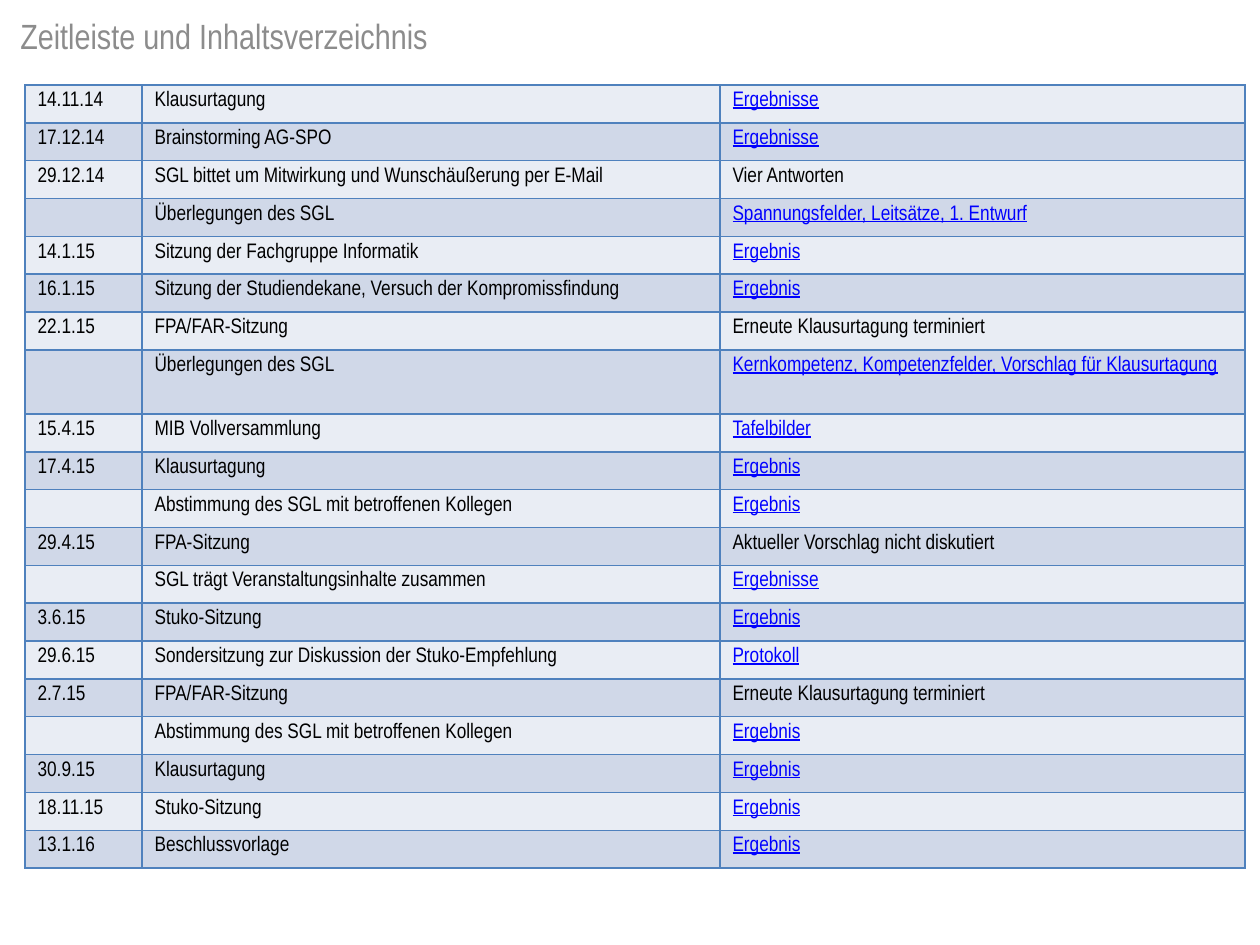
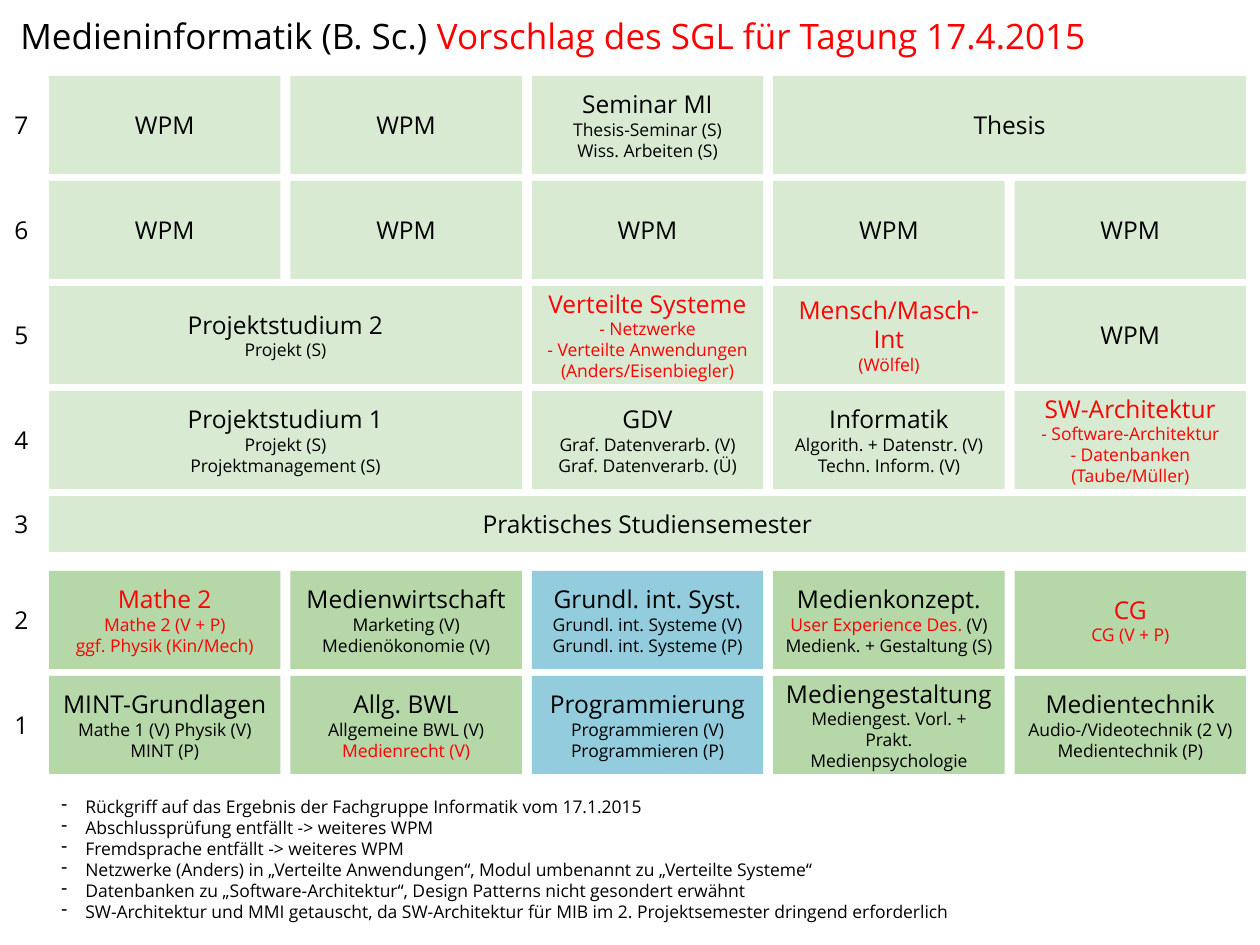
from lxml.etree import SubElement
from pptx import Presentation
from pptx.dml.color import RGBColor
from pptx.enum.shapes import MSO_SHAPE
from pptx.enum.text import MSO_ANCHOR, PP_ALIGN
from pptx.oxml.ns import qn
from pptx.util import Emu, Pt

COLOURS = {
    "black": "000000", "grey": "8C8C8C", "red": "FF0000", "link": "0000FF",
    "border": "4F81BD", "light row": "E9EDF4", "dark row": "D0D8E8",
    "main": "D9EAD3", "basic": "B6D7A8", "computing": "93CDDD",
}
NARROW, OPEN = "Arial Narrow", "Open Sans"

TIMELINE_TITLE = [("Zeitleiste und Inhaltsverzeichnis", "grey")]
TIMELINE = [
    ("14.11.14", "Klausurtagung", "Ergebnisse"),
    ("17.12.14", "Brainstorming AG-SPO", "Ergebnisse"),
    ("29.12.14", "SGL bittet um Mitwirkung und Wunschäußerung per E-Mail", "Vier Antworten"),
    ("", "Überlegungen des SGL", "Spannungsfelder, Leitsätze, 1. Entwurf"),
    ("14.1.15", "Sitzung der Fachgruppe Informatik", "Ergebnis"),
    ("16.1.15", "Sitzung der Studiendekane, Versuch der Kompromissfindung", "Ergebnis"),
    ("22.1.15", "FPA/FAR-Sitzung", "Erneute Klausurtagung terminiert"),
    ("", "Überlegungen des SGL", "Kernkompetenz, Kompetenzfelder, Vorschlag für Klausurtagung"),
    ("15.4.15", "MIB Vollversammlung", "Tafelbilder"),
    ("17.4.15", "Klausurtagung", "Ergebnis"),
    ("", "Abstimmung des SGL mit betroffenen Kollegen", "Ergebnis"),
    ("29.4.15", "FPA-Sitzung", "Aktueller Vorschlag nicht diskutiert"),
    ("", "SGL trägt Veranstaltungsinhalte zusammen", "Ergebnisse"),
    ("3.6.15", "Stuko-Sitzung", "Ergebnis"),
    ("29.6.15", "Sondersitzung zur Diskussion der Stuko-Empfehlung", "Protokoll"),
    ("2.7.15", "FPA/FAR-Sitzung", "Erneute Klausurtagung terminiert"),
    ("", "Abstimmung des SGL mit betroffenen Kollegen", "Ergebnis"),
    ("30.9.15", "Klausurtagung", "Ergebnis"),
    ("18.11.15", "Stuko-Sitzung", "Ergebnis"),
    ("13.1.16", "Beschlussvorlage", "Ergebnis"),
]
PLAIN_RESULTS = {
    "Vier Antworten", "Erneute Klausurtagung terminiert", "Aktueller Vorschlag nicht diskutiert",
}
TALL_ROW = 7

CURRICULUM_TITLE = [
    ("Medieninformatik (B. Sc.) ", "black"),
    ("Vorschlag des SGL für Tagung 17.4.2015", "red"),
]
WPM = (1, "main", "black", ["WPM"])
SEMESTERS = [
    ("7", 76, 98, [
        WPM, WPM,
        (1, "main", "black", ["Seminar MI", "Thesis-Seminar (S)", "Wiss. Arbeiten (S)"]),
        (2, "main", "black", ["Thesis"]),
    ]),
    ("6", 181, 98, [WPM] * 5),
    ("5", 286, 98, [
        (2, "main", "black", ["Projektstudium 2", "Projekt (S)"]),
        (1, "main", "red", ["Verteilte Systeme", "- Netzwerke", "- Verteilte Anwendungen",
                            "(Anders/Eisenbiegler)"]),
        (1, "main", "red", ["Mensch/Masch-Int", "(Wölfel)"]),
        WPM,
    ]),
    ("4", 391, 98, [
        (2, "main", "black", ["Projektstudium 1", "Projekt (S)", "Projektmanagement (S)"]),
        (1, "main", "black", ["GDV", "Graf. Datenverarb. (V)", "Graf. Datenverarb. (Ü)"]),
        (1, "main", "black", ["Informatik", "Algorith. + Datenstr. (V)", "Techn. Inform. (V)"]),
        (1, "main", "red", ["SW-Architektur", "- Software-Architektur", "- Datenbanken",
                            "(Taube/Müller)"]),
    ]),
    ("3", 496, 56, [(5, "main", "black", ["Praktisches Studiensemester"])]),
    ("2", 571, 98, [
        (1, "basic", "red", ["Mathe 2", "Mathe 2 (V + P)", "ggf. Physik (Kin/Mech)"]),
        (1, "basic", "black", ["Medienwirtschaft", "Marketing (V)", "Medienökonomie (V)"]),
        (1, "computing", "black", ["Grundl. int. Syst.", "Grundl. int. Systeme (V)",
                                   "Grundl. int. Systeme (P)"]),
        (1, "basic", "black", ["Medienkonzept.",
                               [("User Experience Des. ", "red"), ("(V)", "black")],
                               "Medienk. + Gestaltung (S)"]),
        (1, "basic", "red", ["CG", "CG (V + P)"]),
    ]),
    ("1", 676, 98, [
        (1, "basic", "black", ["MINT-Grundlagen", "Mathe 1 (V) Physik (V)", "MINT (P)"]),
        (1, "basic", "black", ["Allg. BWL", "Allgemeine BWL (V)", [("Medienrecht (V)", "red")]]),
        (1, "computing", "black", ["Programmierung", "Programmieren (V)", "Programmieren (P)"]),
        (1, "basic", "black", ["Mediengestaltung", "Mediengest. Vorl. + Prakt.",
                               "Medienpsychologie"]),
        (1, "basic", "black", ["Medientechnik", "Audio-/Videotechnik (2 V)",
                               "Medientechnik (P)"]),
    ]),
]
NOTES = [
    "Rückgriff auf das Ergebnis der Fachgruppe Informatik vom 17.1.2015",
    "Abschlussprüfung entfällt -> weiteres WPM",
    "Fremdsprache entfällt -> weiteres WPM",
    "Netzwerke (Anders) in „Verteilte Anwendungen“, Modul umbenannt zu „Verteilte Systeme“",
    "Datenbanken zu „Software-Architektur“, Design Patterns nicht gesondert erwähnt",
    "SW-Architektur und MMI getauscht, da SW-Architektur für MIB im 2. Projektsemester "
    "dringend erforderlich",
]

TITLE_BOX = (8, 5, 1237, 60)
TABLE_BOX = (25, 85, 1220, 780)
TABLE_COLUMNS = (117, 578, 525)
TALL_HEIGHT = 64
GRID_LEFT, GRID_WIDTH, GRID_GAP, GRID_COLUMNS = 49, 1197, 10, 5
LABEL_LEFT, LABEL_WIDTH, LABEL_HEIGHT = 2, 59, 57
NOTES_BOX = (GRID_LEFT, 800, GRID_WIDTH, 118)
NOTE_INDENT = 24


def px(length):
    return Emu(round(length * 914400 / 126))


def rgb(colour):
    return RGBColor.from_string(COLOURS[colour])


def write(paragraph, line, size, face, colour="black"):
    font = paragraph.font
    font.size, font.name = Pt(size), face
    font.color.rgb = rgb(colour)
    for text, run_colour in [(line, colour)] if isinstance(line, str) else line:
        run = paragraph.add_run()
        run.text = text
        if run_colour != colour:
            run.font.color.rgb = rgb(run_colour)


def prepare(shape):
    frame = shape.text_frame
    frame.word_wrap = True
    frame.vertical_anchor = MSO_ANCHOR.MIDDLE
    return frame


def paragraphs(frame, lines):
    for index, line in enumerate(lines):
        yield (frame.add_paragraph() if index else frame.paragraphs[0]), line


def add_text(slide, box):
    return prepare(slide.shapes.add_textbox(*map(px, box)))


def add_title(slide, runs, face):
    write(add_text(slide, TITLE_BOX).paragraphs[0], runs, 20, face, runs[0][1])


def style_cell(cell, fill):
    properties = cell._tc.get_or_add_tcPr()
    for side in ("lnL", "lnR", "lnT", "lnB"):
        line = SubElement(properties, qn(f"a:{side}"), w=str(Pt(1)))
        SubElement(SubElement(line, qn("a:solidFill")), qn("a:srgbClr"), val=COLOURS["border"])
    cell.fill.solid()
    cell.fill.fore_color.rgb = rgb(fill)


def add_timeline(slide):
    count = len(TIMELINE)
    table = slide.shapes.add_table(count, len(TABLE_COLUMNS), *map(px, TABLE_BOX)).table
    table.first_row = table.horz_banding = False
    for column, width in zip(table.columns, TABLE_COLUMNS):
        column.width = px(width)
    row_height = (TABLE_BOX[3] - TALL_HEIGHT) / (count - 1)
    for r, entry in enumerate(TIMELINE):
        table.rows[r].height = px(TALL_HEIGHT if r == TALL_ROW else row_height)
        for c, text in enumerate(entry):
            cell = table.cell(r, c)
            style_cell(cell, "dark row" if r % 2 else "light row")
            paragraph = cell.text_frame.paragraphs[0]
            if not text:
                SubElement(paragraph._p, qn("a:endParaRPr"), sz="1200")
                continue
            linked = c == 2 and text not in PLAIN_RESULTS
            write(paragraph, text, 12, NARROW, "link" if linked else "black")
            if linked:
                paragraph.font.underline = True


def add_module(slide, box, fill, colour, lines):
    module = slide.shapes.add_shape(MSO_SHAPE.RECTANGLE, *map(px, box))
    module.shadow.inherit = False
    module.fill.solid()
    module.fill.fore_color.rgb = rgb(fill)
    module.line.fill.background()
    frame = prepare(module)
    for paragraph, line in paragraphs(frame, lines):
        paragraph.alignment = PP_ALIGN.CENTER
        write(paragraph, line, 14 if line is lines[0] else 10, OPEN, colour)


def add_semesters(slide):
    pitch = (GRID_WIDTH + GRID_GAP) / GRID_COLUMNS
    for number, top, height, modules in SEMESTERS:
        label_top = top + (height - LABEL_HEIGHT) / 2
        label = add_text(slide, (LABEL_LEFT, label_top, LABEL_WIDTH, LABEL_HEIGHT))
        write(label.paragraphs[0], number, 14, OPEN)
        column = 0
        for span, fill, colour, lines in modules:
            box = (GRID_LEFT + column * pitch, top, span * pitch - GRID_GAP, height)
            add_module(slide, box, fill, colour, lines)
            column += span


def add_notes(slide):
    for paragraph, note in paragraphs(add_text(slide, NOTES_BOX), NOTES):
        properties = paragraph._p.get_or_add_pPr()
        properties.set("marL", str(px(NOTE_INDENT)))
        properties.set("indent", str(-px(NOTE_INDENT)))
        SubElement(properties, qn("a:buChar"), char="-")
        write(paragraph, note, 10, OPEN)


def main():
    deck = Presentation()
    deck.slide_width, deck.slide_height = px(1260), px(945)
    timeline, curriculum = (deck.slides.add_slide(deck.slide_layouts[6]) for _ in range(2))
    add_title(timeline, TIMELINE_TITLE, NARROW)
    add_timeline(timeline)
    add_title(curriculum, CURRICULUM_TITLE, OPEN)
    add_semesters(curriculum)
    add_notes(curriculum)
    deck.save("out.pptx")


if __name__ == "__main__":
    main()
